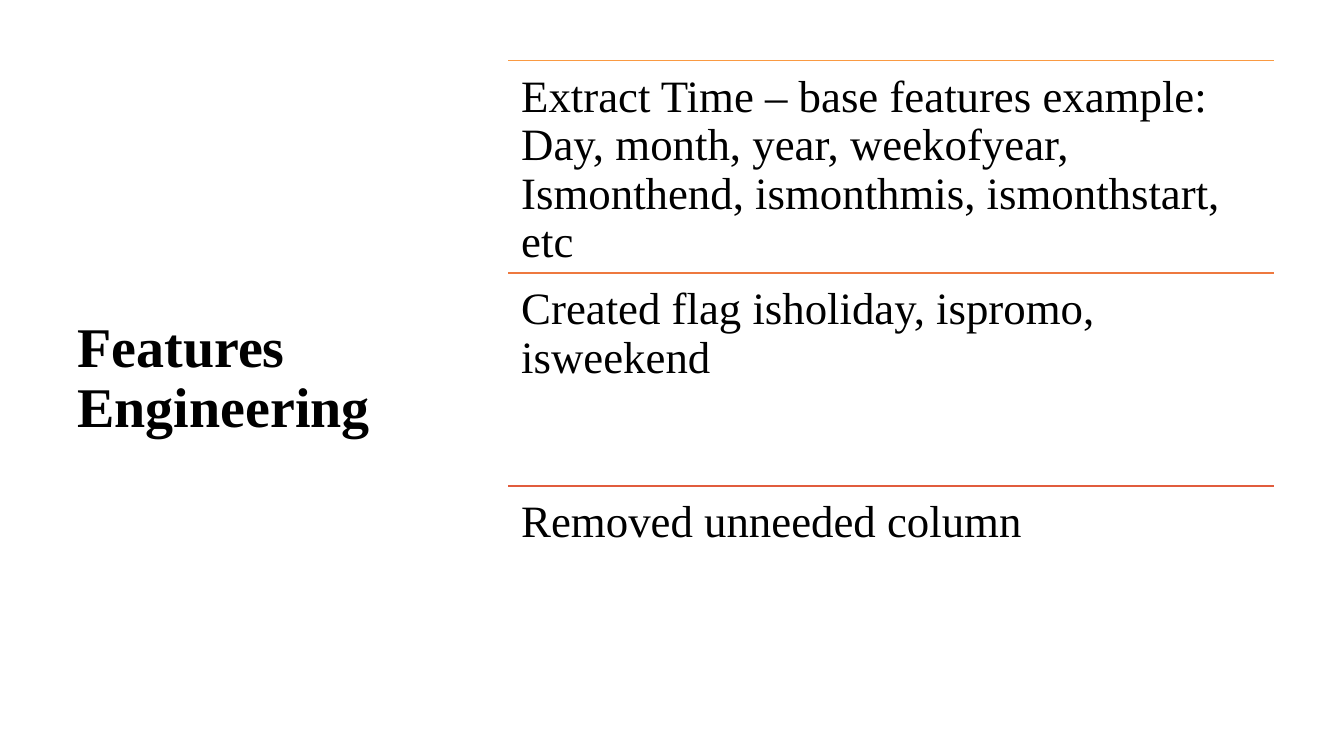
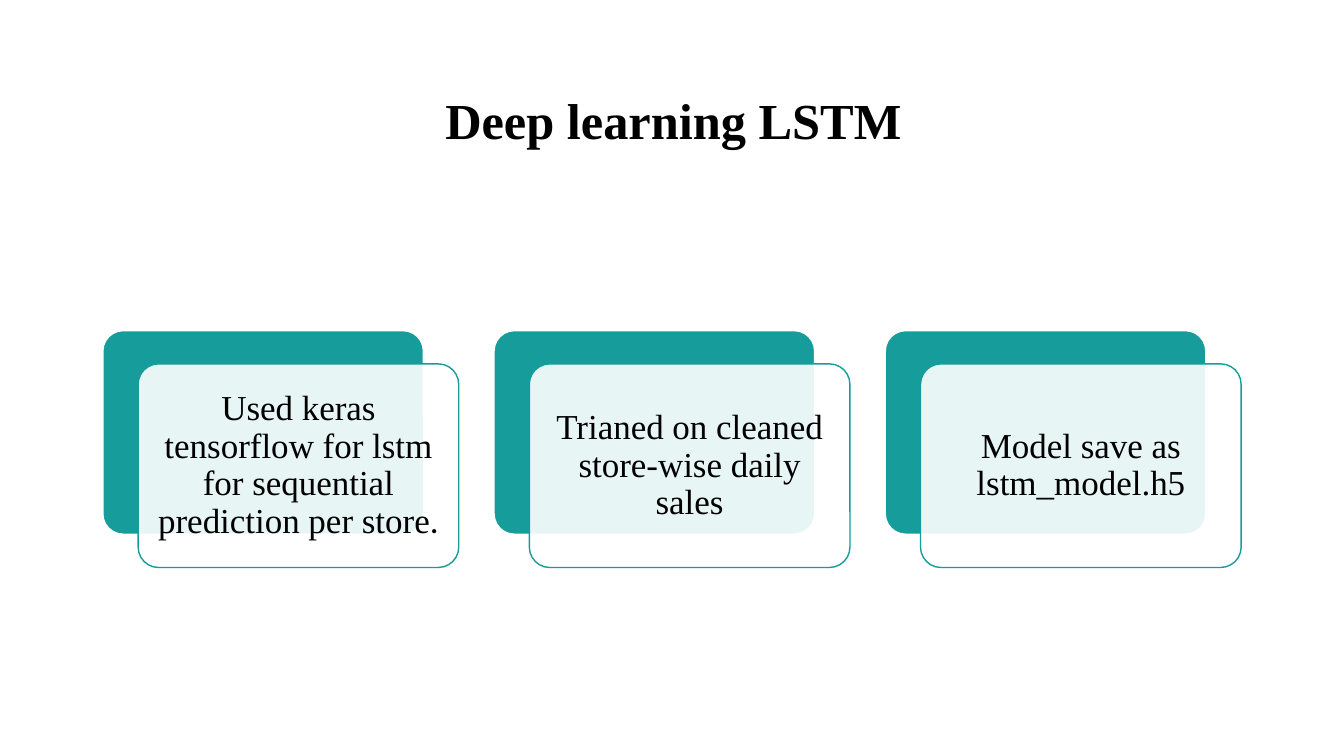
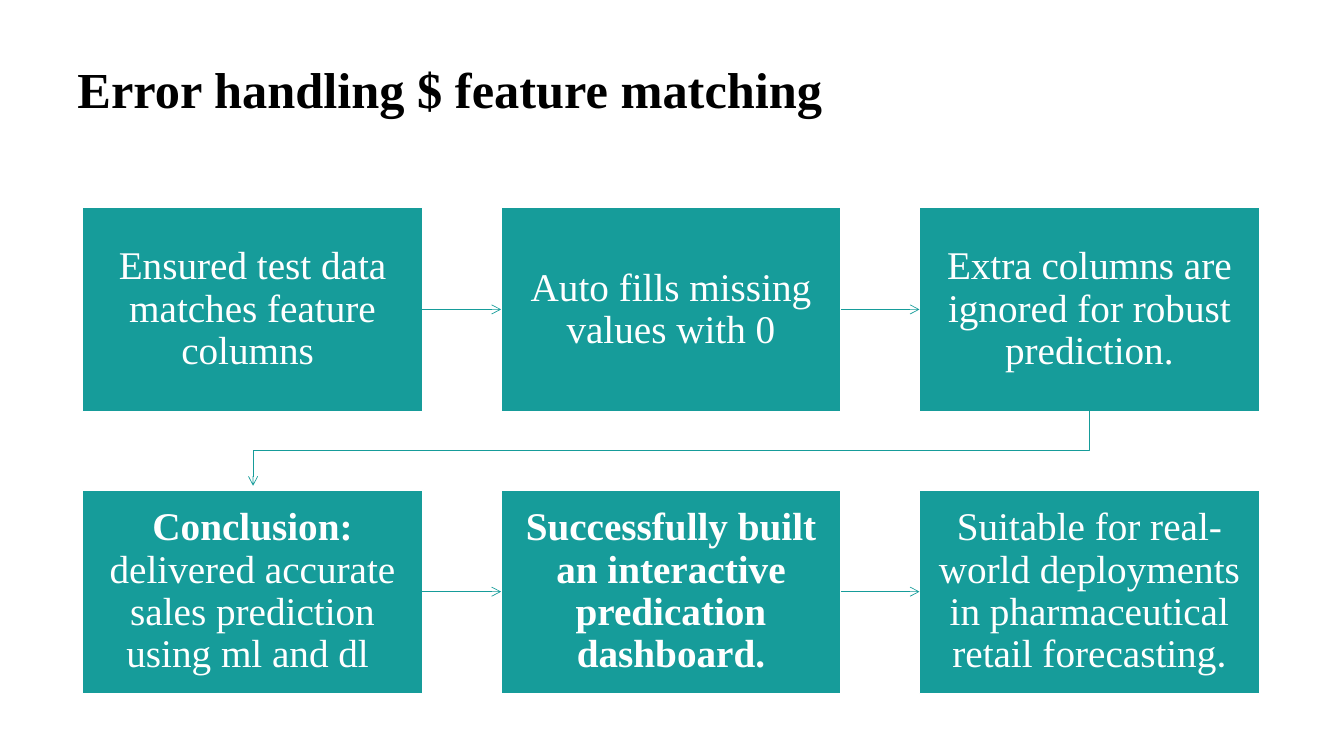
from lxml import etree
from pptx import Presentation
from pptx.dml import color
from pptx.enum import shapes, text
from pptx.oxml import ns
from pptx.util import Inches, Pt

SERIF, SANS = "Times New Roman", "Calibri"
TEAL, WHITE, BLACK = "169C9A", "FFFFFF", "000000"
LEFT, MID = text.PP_ALIGN.LEFT, text.PP_ALIGN.CENTER
TOP, HALF = text.MSO_ANCHOR.TOP, text.MSO_ANCHOR.MIDDLE


def paint(shape, line, width, fill=None, alpha=100, arrow=False):
    shape.line.fill.solid()
    shape.line.fill.fore_color.rgb = color.RGBColor.from_string(line)
    shape.line.width = Pt(width)
    if fill:
        shape.fill.solid()
        shape.fill.fore_color.rgb = color.RGBColor.from_string(fill)
        if alpha < 100:
            tint = shape._element.spPr.find(".//" + ns.qn("a:srgbClr"))
            etree.SubElement(tint, ns.qn("a:alpha"), val=str(alpha * 1000))
    elif hasattr(shape, "fill"):
        shape.fill.background()
    if arrow:
        etree.SubElement(shape.get_or_add_ln(), ns.qn("a:tailEnd"), type="arrow")
    etree.SubElement(shape._element.spPr, ns.qn("a:effectLst"))


def write(shape, words, size, hue=BLACK, bold=False, align=MID, anchor=HALF, pad=0.1, sides=None):
    frame = shape.text_frame
    frame.word_wrap = True
    frame.vertical_anchor = anchor
    frame.margin_left = frame.margin_right = Inches(pad)
    frame.margin_top = frame.margin_bottom = Inches(pad if sides is None else sides)
    para = frame.paragraphs[0]
    para.alignment = align
    para.line_spacing = 0.9
    for part in [(words, {})] if isinstance(words, str) else words:
        run = para.add_run()
        run.text = part[0]
        run.font.name = part[1].get("face", SERIF)
        run.font.size = Pt(size)
        run.font.bold = part[1].get("bold", bold)
        run.font.color.rgb = color.RGBColor.from_string(hue)


deck = Presentation()
deck.slide_width, deck.slide_height = Inches(13.33), Inches(7.5)
heads = [
    ("Features Engineering", 0.67, 3.82, 6.33, 40, LEFT, HALF),
    ("Deep learning LSTM", 1.67, 10.02, 1.24, 36, MID, HALF),
    ("Error handling $ feature matching", 0.67, 11.97, 1.24, 36, LEFT, TOP),
]
pages = []
for words, x, wide, high, size, align, anchor in heads:
    page = deck.slides.add_slide(deck.slide_layouts[6])
    title = page.shapes.add_textbox(Inches(x), Inches(0.6), Inches(wide), Inches(high))
    write(title, words, size, bold=True, align=align, anchor=anchor, sides=0.05)
    pages.append(page.shapes)
steps, cards, flow = pages

rows = [
    ("FA9A42", "Extract Time – base features example: Day, month, year, weekofyear, "
               "Ismonthend, ismonthmis, ismonthstart, etc"),
    ("EE793F", "Created flag isholiday, ispromo, isweekend"),
    ("E15C3D", "Removed unneeded column"),
]
for i, (hue, words) in enumerate(rows):
    x, y, wide, high = Inches(5.04), Inches(0.6 + 2.11 * i), Inches(7.6), Inches(2.11)
    rule = steps.add_connector(shapes.MSO_CONNECTOR.STRAIGHT, x, y, x + wide, y)
    paint(rule, hue, 1)
    write(steps.add_textbox(x, y, wide, high), words, 32, align=LEFT, anchor=TOP, pad=0.13)

notes = [
    [("Used keras tensorflow for lstm for sequential prediction per store", {}),
     (".", {"face": SANS})],
    "Trianed on cleaned store-wise daily sales",
    "Model save as lstm_model.h5",
]
for i, words in enumerate(notes):
    x = 1.02 + 3.88 * i
    for dx, y, line, fill, alpha in [(0, 3.28, WHITE, TEAL, 100), (0.35, 3.61, TEAL, WHITE, 90)]:
        card = cards.add_shape(shapes.MSO_SHAPE.ROUNDED_RECTANGLE,
                               Inches(x + dx), Inches(y), Inches(3.18), Inches(2.02))
        card.adjustments[0] = 0.1
        paint(card, line, 1, fill, alpha)
    write(card, words, 25)

tasks = [
    "Ensured test data matches feature columns ",
    "Auto fills missing values with 0",
    "Extra columns are ignored for robust prediction.",
    [("Conclusion: ", {"bold": True}),
     ("delivered accurate sales prediction using ml and dl ", {})],
    [("Successfully built an interactive predication dashboard.", {"bold": True})],
    [("Suitable for real-world deployments in pharmaceutical retail forecasting", {}),
     (".", {"face": SANS})],
]
boxes = []
for i, words in enumerate(tasks):
    row, col = divmod(i, 3)
    box = flow.add_shape(shapes.MSO_SHAPE.RECTANGLE, Inches(0.82 + 4.15 * col),
                         Inches(2.06 + 2.8 * row), Inches(3.37), Inches(2.02))
    paint(box, WHITE, 1, TEAL)
    write(box, words, 28, WHITE, pad=0.17)
    if col:
        link = flow.add_connector(shapes.MSO_CONNECTOR.STRAIGHT, 0, 0, 0, 0)
        link.begin_connect(boxes[-1], 3)
        link.end_connect(box, 1)
        paint(link, TEAL, 0.5, arrow=True)
    boxes.append(box)

path = flow.build_freeform(Inches(10.8), Inches(4.08))
path.add_line_segments([(Inches(x), Inches(y)) for x, y in
                        [(10.8, 4.47), (2.51, 4.47), (2.51, 4.82)]], close=False)
paint(path.convert_to_shape(), TEAL, 0.5, arrow=True)

deck.save("out.pptx")
